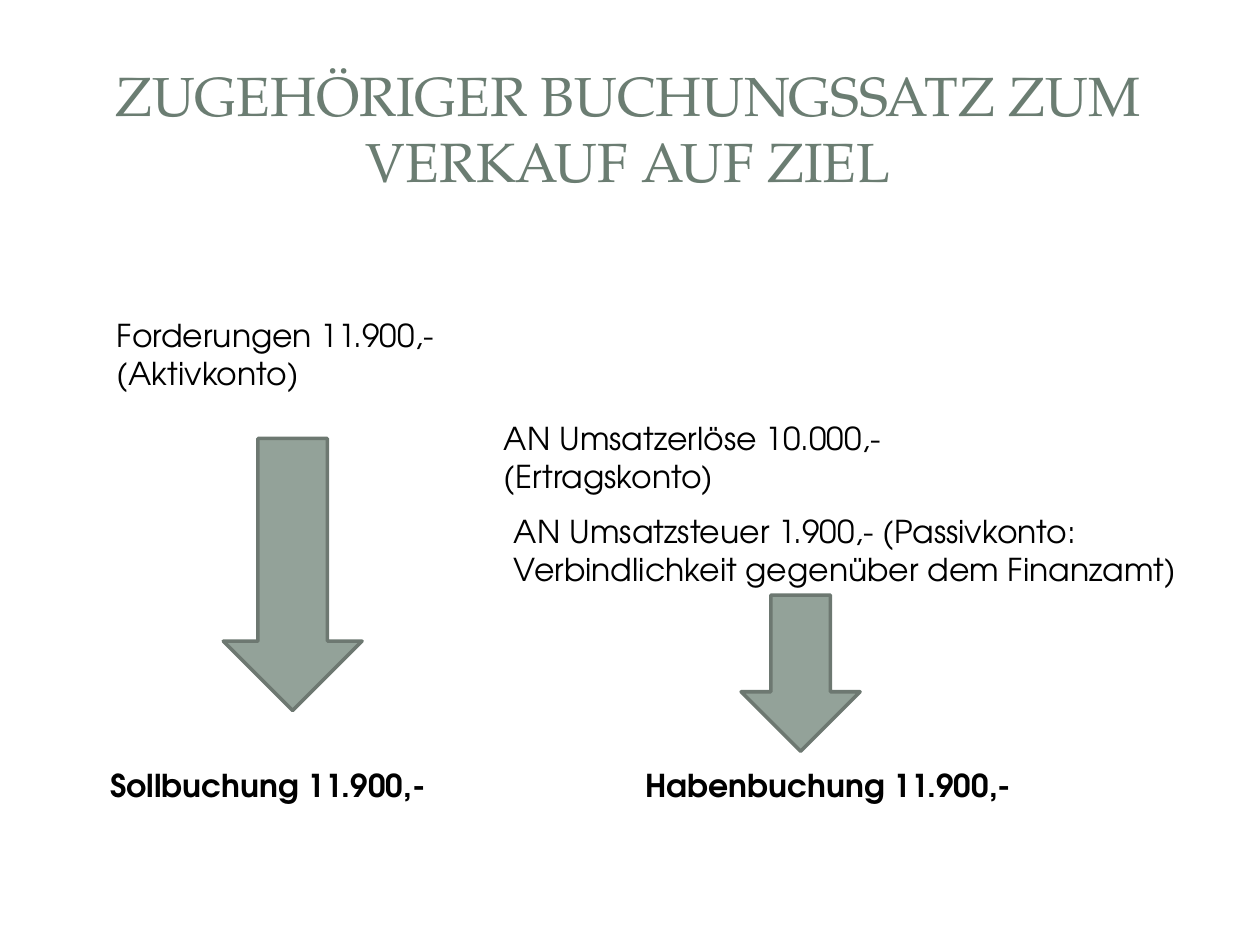
from lxml.etree import SubElement
from pptx import Presentation
from pptx.dml.color import RGBColor
from pptx.enum.shapes import MSO_SHAPE
from pptx.enum.text import MSO_ANCHOR, PP_ALIGN
from pptx.oxml.ns import qn
from pptx.util import Inches, Pt

WIDTH, HEIGHT = 10, 7.5
COLORS = {"panel": "FFFFFF", "title": "6B7D72", "text": "000000",
          "arrow": "93A299", "outline": "6D7871"}
HEADING_FONT, BODY_FONT = "TeX Gyre Pagella", "TeX Gyre Adventor"

PANELS = [
    (MSO_SHAPE.ROUNDED_RECTANGLE, (1, 1.47, 98, 97.2), 100),
    (MSO_SHAPE.RECTANGLE, (3, 4, 94, 19.33), 83),
    (MSO_SHAPE.RECTANGLE, (4.1, 5.47, 91.7, 16.27), 100),
]
CORNER = 0.02
TITLE = ("ZUGEHÖRIGER BUCHUNGSSATZ ZUM VERKAUF AUF ZIEL", (4.7, 5.93, 90.3, 15.2))
ENTRIES = [
    ("Forderungen 11.900,- (Aktivkonto)", (8.3, 32.77, 33.9, 9.42)),
    ("AN Umsatzerlöse 10.000,- (Ertragskonto)", (39, 43.7, 40.2, 9.42)),
    ("AN Umsatzsteuer 1.900,- (Passivkonto: Verbindlichkeit gegenüber dem Finanzamt)",
     (39.8, 53.55, 55.1, 9.42)),
]
ARROWS = [(17.72, 46.4, 11.02, 28.8), (58.82, 62.97, 9.45, 16.53)]
TOTALS = [
    ("Sollbuchung 11.900,-", (6.7, 80.4, 29.1, 5.33)),
    ("Habenbuchung 11.900,-", (47.65, 80.4, 36.2, 5.33)),
]


def place(percents):
    left, top, width, height = percents
    across, down = WIDTH / 100, HEIGHT / 100
    return (Inches(left * across), Inches(top * down),
            Inches(width * across), Inches(height * down))


def add_text(page, text, percents, *, size=18, font=BODY_FONT, color="text",
             bold=False, align=PP_ALIGN.LEFT, anchor=MSO_ANCHOR.TOP):
    frame = page.shapes.add_textbox(*place(percents)).text_frame
    frame.word_wrap = True
    frame.vertical_anchor = anchor
    para = frame.paragraphs[0]
    para.alignment = align
    span = para.add_run()
    span.text = text
    span.font.name = font
    span.font.size = Pt(size)
    span.font.bold = bold
    span.font.color.rgb = RGBColor.from_string(COLORS[color])


def add_filled(page, kind, percents, color):
    shape = page.shapes.add_shape(kind, *place(percents))
    shape.shadow.inherit = False
    shape.fill.solid()
    shape.fill.fore_color.rgb = RGBColor.from_string(COLORS[color])
    return shape


def add_panel(page, kind, percents, opacity):
    panel = add_filled(page, kind, percents, "panel")
    panel.line.fill.background()
    if kind == MSO_SHAPE.ROUNDED_RECTANGLE:
        panel.adjustments[0] = CORNER
    if opacity < 100:
        tint = panel.fill._xPr.find(qn("a:solidFill")).find(qn("a:srgbClr"))
        SubElement(tint, qn("a:alpha")).set("val", str(opacity * 1000))


def add_arrow(page, percents):
    arrow = add_filled(page, MSO_SHAPE.DOWN_ARROW, percents, "arrow")
    arrow.line.color.rgb = RGBColor.from_string(COLORS["outline"])
    arrow.line.width = Pt(2)


def main():
    deck = Presentation()
    deck.slide_width, deck.slide_height = Inches(WIDTH), Inches(HEIGHT)
    page = deck.slides.add_slide(deck.slide_layouts[6])
    for panel in PANELS:
        add_panel(page, *panel)
    add_text(page, *TITLE, size=31.5, font=HEADING_FONT, color="title",
             align=PP_ALIGN.CENTER, anchor=MSO_ANCHOR.MIDDLE)
    for entry in ENTRIES:
        add_text(page, *entry)
    for percents in ARROWS:
        add_arrow(page, percents)
    for total in TOTALS:
        add_text(page, *total, bold=True, align=PP_ALIGN.CENTER)
    deck.save("out.pptx")


if __name__ == "__main__":
    main()
